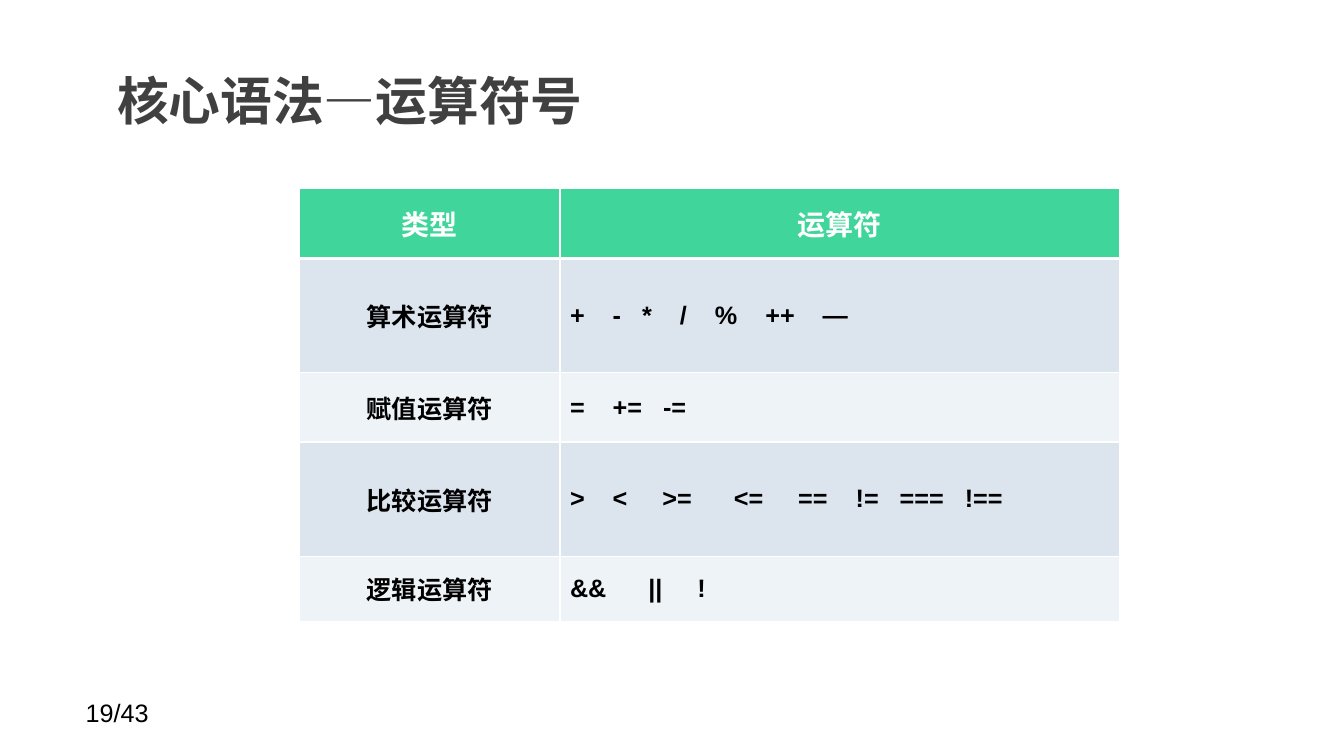
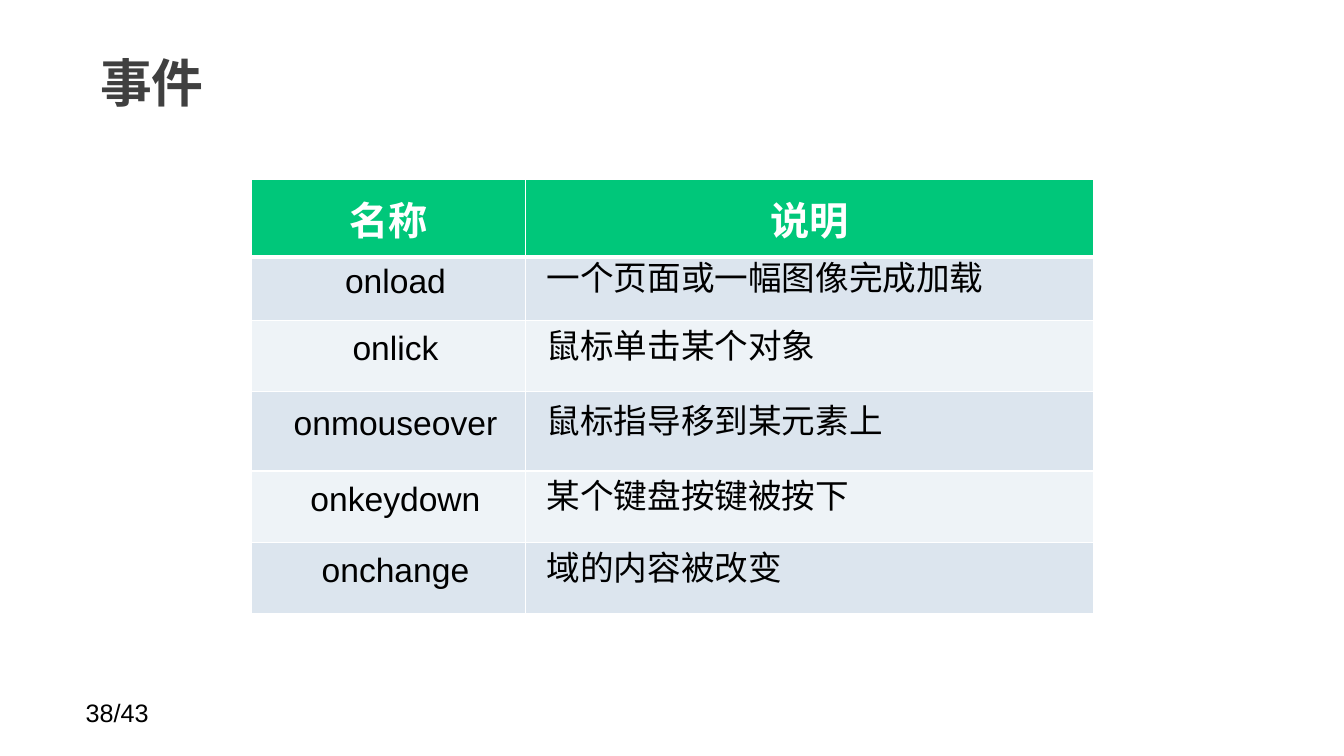
from dataclasses import dataclass

from lxml import etree
from pptx import Presentation
from pptx.dml.color import RGBColor
from pptx.enum import text
from pptx.oxml import ns
from pptx.util import Pt


@dataclass(frozen=True)
class Theme:
    title: str = "404040"
    ink: str = "000000"
    white: str = "FFFFFF"
    bands: tuple = ("DCE5EE", "EEF3F7")
    latin: str = "Arial"
    asian: str = "Noto Sans CJK SC"
    title_size: float = 37
    number_size: float = 18
    rule: float = 1
    header_rule: float = 3


THEME = Theme()
TOTAL = 43
SLIDES = [
    {
        "title": "核心语法—运算符号",
        "title_at": (74, 34),
        "number": 19,
        "table_at": (214, 134.75),
        "columns": (186, 399.5),
        "heights": (50, 81.5, 49.5, 81.5, 46.5),
        "header_fill": "40D59B",
        "header_size": 20,
        "body": {"size": 18, "bold": True},
        "insets": (7.2, 3.6),
        "rows": [
            ("类型", "运算符"),
            ("算术运算符", "+\t-\t*\t/\t%\t++\t—"),
            ("赋值运算符", "=\t+=\t-="),
            ("比较运算符", ">\t<\t>=\t<=\t==\t!=\t===\t!=="),
            ("逻辑运算符", "&&\t||\t!"),
        ],
        "tabs": {
            1: (30.5, 51.5, 78.5, 103.5, 139.5, 180.5),
            2: (30.5, 66.5),
            3: (30.5, 66, 117, 163, 204, 235.5, 282),
            4: (56, 91),
        },
    },
    {
        "title": "事件",
        "title_at": (62, 21.5),
        "number": 38,
        "table_at": (179.5, 128.5),
        "columns": (196, 405.5),
        "heights": (55, 45.5, 50.5, 57, 51, 51),
        "header_fill": "00C77A",
        "header_size": 28,
        "body": {"size": 24, "indent": 10, "line": 17},
        "insets": (5, 0),
        "rows": [
            ("名称", "说明"),
            ("onload", "一个页面或一幅图像完成加载"),
            ("onlick", "鼠标单击某个对象"),
            ("onmouseover", "鼠标指导移到某元素上"),
            ("onkeydown", "某个键盘按键被按下"),
            ("onchange", "域的内容被改变"),
        ],
        "tabs": {},
    },
]


def write(frame, words, size, color=THEME.ink, bold=False, latin=THEME.latin,
          center=False, indent=0, line=None, tabs=(), insets=None):
    if insets:
        frame.margin_left = frame.margin_right = Pt(insets[0])
        frame.margin_top = frame.margin_bottom = Pt(insets[1])
    para = frame.paragraphs[0]
    para.alignment = text.PP_ALIGN.CENTER if center else text.PP_ALIGN.LEFT
    if line:
        para.line_spacing = Pt(line)
    properties = para._p.get_or_add_pPr()
    if indent:
        properties.set("indent", str(Pt(indent)))
    if tabs:
        stops = etree.SubElement(properties, ns.qn("a:tabLst"))
        for stop in tabs:
            etree.SubElement(stops, ns.qn("a:tab"), pos=str(Pt(stop)), algn="l")
    span = para.add_run()
    span.text = words
    span.font.size = Pt(size)
    span.font.bold = bold
    span.font.name = latin
    span.font.color.rgb = RGBColor.from_string(color)
    etree.SubElement(span._r.get_or_add_rPr(), ns.qn("a:ea"), typeface=THEME.asian)


def add_borders(cell, top, bottom):
    properties = cell._tc.get_or_add_tcPr()
    widths = {"L": THEME.rule, "R": THEME.rule, "T": top, "B": bottom}
    for index, (side, width) in enumerate(widths.items()):
        border = etree.Element(ns.qn(f"a:ln{side}"), w=str(Pt(width)))
        fill = etree.SubElement(border, ns.qn("a:solidFill"))
        etree.SubElement(fill, ns.qn("a:srgbClr"), val=THEME.white)
        properties.insert(index, border)


def add_table(page, content):
    columns, heights = content["columns"], content["heights"]
    left, top = content["table_at"]
    table = page.shapes.add_table(
        len(heights), len(columns), Pt(left), Pt(top),
        Pt(sum(columns)), Pt(sum(heights))).table
    table.first_row = table.horz_banding = False
    for column, width in zip(table.columns, columns):
        column.width = Pt(width)
    for index, (row, height, words) in enumerate(zip(table.rows, heights, content["rows"])):
        row.height = Pt(height)
        header = index == 0
        color = content["header_fill"] if header else THEME.bands[(index - 1) % 2]
        for place, (cell, label) in enumerate(zip(row.cells, words)):
            cell.vertical_anchor = text.MSO_ANCHOR.MIDDLE
            cell.fill.solid()
            cell.fill.fore_color.rgb = RGBColor.from_string(color)
            add_borders(cell,
                        THEME.header_rule if index == 1 else THEME.rule,
                        THEME.header_rule if header else THEME.rule)
            if header:
                write(cell.text_frame, label, content["header_size"],
                      color=THEME.white, bold=True, center=True)
            else:
                margins = content["insets"]
                cell.margin_left = cell.margin_right = Pt(margins[0])
                cell.margin_top = cell.margin_bottom = Pt(margins[1])
                write(cell.text_frame, label, center=place == 0,
                      tabs=content["tabs"].get(index, ()) if place else (),
                      **content["body"])


def add_page(deck, content):
    page = deck.slides.add_slide(deck.slide_layouts[5])
    title = page.shapes.title
    title.left, title.top = map(Pt, content["title_at"])
    title.width, title.height = Pt(749.5), Pt(74)
    frame = title.text_frame
    frame.auto_size = text.MSO_AUTO_SIZE.NONE
    frame.vertical_anchor = text.MSO_ANCHOR.MIDDLE
    write(frame, content["title"], THEME.title_size, color=THEME.title,
          bold=True, latin=THEME.asian, insets=(9.6, 4.8))
    add_table(page, content)
    number = page.shapes.add_textbox(Pt(54), Pt(494.5), Pt(168), Pt(29))
    number.text_frame.word_wrap = True
    write(number.text_frame, f"{content['number']}/{TOTAL}", THEME.number_size)


def main():
    deck = Presentation()
    deck.slide_width, deck.slide_height = Pt(960), Pt(540)
    for content in SLIDES:
        add_page(deck, content)
    deck.save("out.pptx")


if __name__ == "__main__":
    main()
